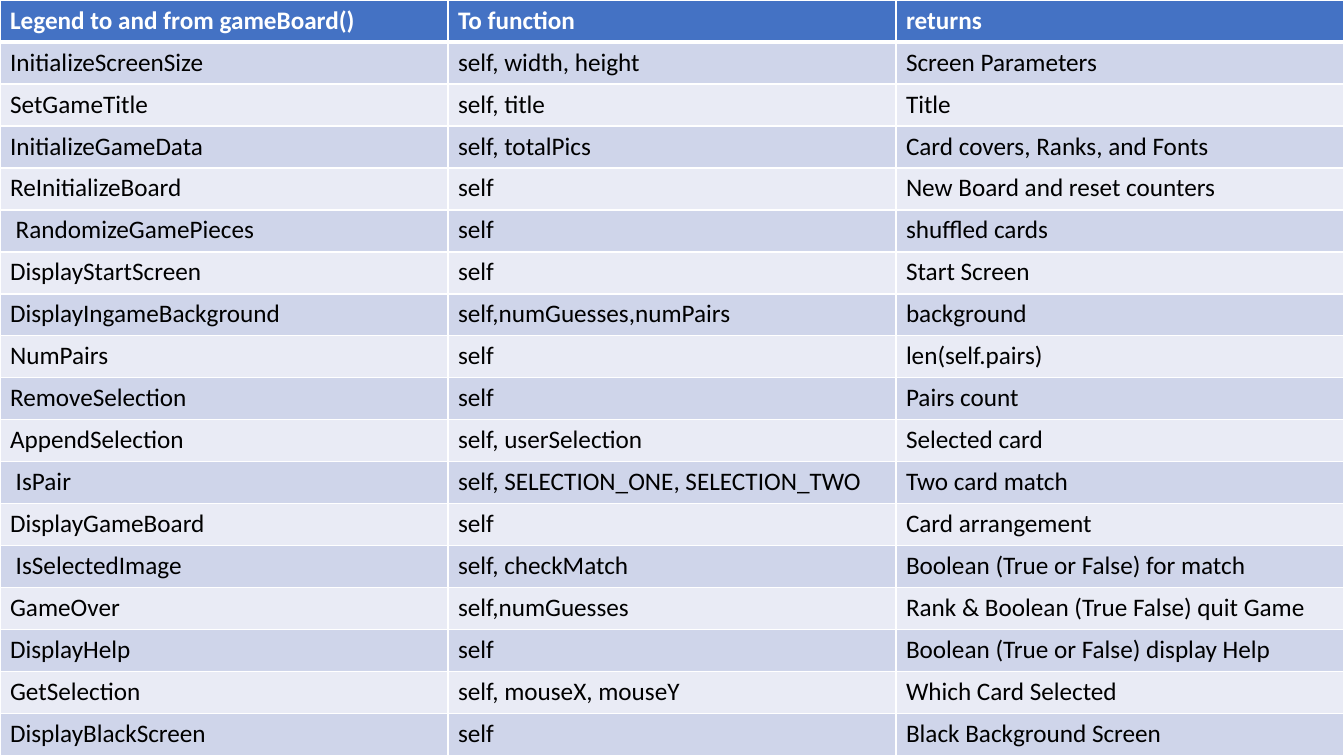
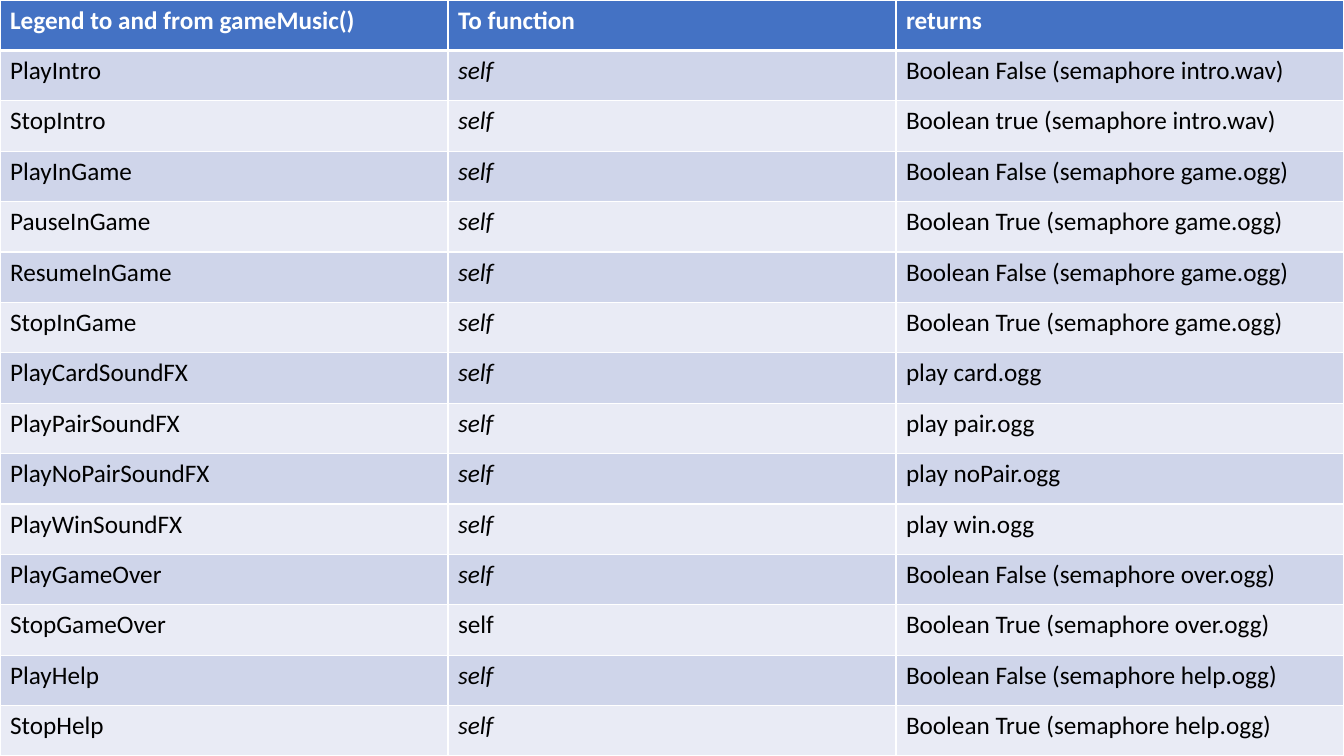
import pptx
import pptx.util
import pptx.dml.color
import lxml.etree
import pptx.oxml.ns

COLORS = {
    "header": "4472C4",
    "odd_row": "CFD5EA",
    "even_row": "E9EBF5",
    "border": "FFFFFF",
    "header_text": "FFFFFF",
    "body_text": "000000",
}
FONT = "Calibri"
TEXT_SIZE = 18
SLIDE_WIDTH, SLIDE_HEIGHT = 960, 540
BORDER, HEADER_RULE = 1, 3

BOARD_ROWS = [
    ("Legend to and from gameBoard()", "To function", "returns"),
    ("InitializeScreenSize", "self, width, height", "Screen Parameters"),
    ("SetGameTitle", "self, title", "Title"),
    ("InitializeGameData", "self, totalPics", "Card covers, Ranks, and Fonts"),
    ("ReInitializeBoard", "self", "New Board and reset counters"),
    (" RandomizeGamePieces", "self", "shuffled cards"),
    ("DisplayStartScreen", "self", "Start Screen"),
    ("DisplayIngameBackground", "self,numGuesses,numPairs", "background"),
    ("NumPairs", "self", "len(self.pairs)"),
    ("RemoveSelection", "self", "Pairs count"),
    ("AppendSelection", "self, userSelection", "Selected card"),
    (" IsPair", "self, SELECTION_ONE, SELECTION_TWO", "Two card match"),
    ("DisplayGameBoard", "self", "Card arrangement"),
    (" IsSelectedImage", "self, checkMatch", "Boolean (True or False) for match"),
    ("GameOver", "self,numGuesses", "Rank & Boolean (True False) quit Game"),
    ("DisplayHelp", "self", "Boolean (True or False) display Help"),
    ("GetSelection", "self, mouseX, mouseY", "Which Card Selected"),
    ("DisplayBlackScreen", "self", "Black Background Screen"),
]
MUSIC_ROWS = [
    ("Legend to and from gameMusic()", "To function", "returns"),
    ("PlayIntro", "self", "Boolean False (semaphore intro.wav)"),
    ("StopIntro", "self", "Boolean true (semaphore intro.wav)"),
    ("PlayInGame", "self", "Boolean False (semaphore game.ogg)"),
    ("PauseInGame", "self", "Boolean True (semaphore game.ogg)"),
    ("ResumeInGame", "self", "Boolean False (semaphore game.ogg)"),
    ("StopInGame", "self", "Boolean True (semaphore game.ogg)"),
    ("PlayCardSoundFX", "self", "play card.ogg"),
    ("PlayPairSoundFX", "self", "play pair.ogg"),
    ("PlayNoPairSoundFX", "self", "play noPair.ogg"),
    ("PlayWinSoundFX", "self", "play win.ogg"),
    ("PlayGameOver", "self", "Boolean False (semaphore over.ogg)"),
    ("StopGameOver", "self", "Boolean True (semaphore over.ogg)"),
    ("PlayHelp", "self", "Boolean False (semaphore help.ogg)"),
    ("StopHelp", "self", "Boolean True (semaphore help.ogg)"),
]
ITALIC_ARGUMENTS = {row[0] for row in MUSIC_ROWS[1:]} - {"StopGameOver"}


def set_borders(cell, top, bottom):
    """Draw all four cell edges; call before filling, as lines precede the fill."""
    properties = cell._tc.get_or_add_tcPr()
    edges = {"lnL": BORDER, "lnR": BORDER, "lnT": top, "lnB": bottom}
    for edge, width in edges.items():
        line = lxml.etree.SubElement(
            properties, pptx.oxml.ns.qn("a:" + edge), w=str(pptx.util.Pt(width))
        )
        fill = lxml.etree.SubElement(line, pptx.oxml.ns.qn("a:solidFill"))
        lxml.etree.SubElement(
            fill, pptx.oxml.ns.qn("a:srgbClr"), val=COLORS["border"]
        )


def add_legend_slide(deck, rows):
    """Add a slide filled by one table, whose first row is the header."""
    page = deck.slides.add_slide(deck.slide_layouts[6])
    table = page.shapes.add_table(
        len(rows), len(rows[0]), 0, 0,
        pptx.util.Pt(SLIDE_WIDTH), pptx.util.Pt(SLIDE_HEIGHT),
    ).table
    for column in table.columns:
        column.width = pptx.util.Pt(SLIDE_WIDTH / len(rows[0]))
    for row_index, texts in enumerate(rows):
        table.rows[row_index].height = pptx.util.Pt(SLIDE_HEIGHT / len(rows))
        is_header = row_index == 0
        band = "header" if is_header else "odd_row" if row_index % 2 else "even_row"
        text_color = COLORS["header_text" if is_header else "body_text"]
        for column_index, text in enumerate(texts):
            cell = table.cell(row_index, column_index)
            set_borders(
                cell,
                top=HEADER_RULE if row_index == 1 else BORDER,
                bottom=HEADER_RULE if is_header else BORDER,
            )
            cell.fill.solid()
            cell.fill.fore_color.rgb = pptx.dml.color.RGBColor.from_string(COLORS[band])
            cell.text_frame.text = text
            font = cell.text_frame.paragraphs[0].runs[0].font
            font.name = FONT
            font.size = pptx.util.Pt(TEXT_SIZE)
            font.bold = is_header
            font.italic = column_index == 1 and texts[0] in ITALIC_ARGUMENTS
            font.color.rgb = pptx.dml.color.RGBColor.from_string(text_color)


deck = pptx.Presentation()
deck.slide_width = pptx.util.Pt(SLIDE_WIDTH)
deck.slide_height = pptx.util.Pt(SLIDE_HEIGHT)

for rows in (BOARD_ROWS, MUSIC_ROWS):
    add_legend_slide(deck, rows)

deck.save("out.pptx")
